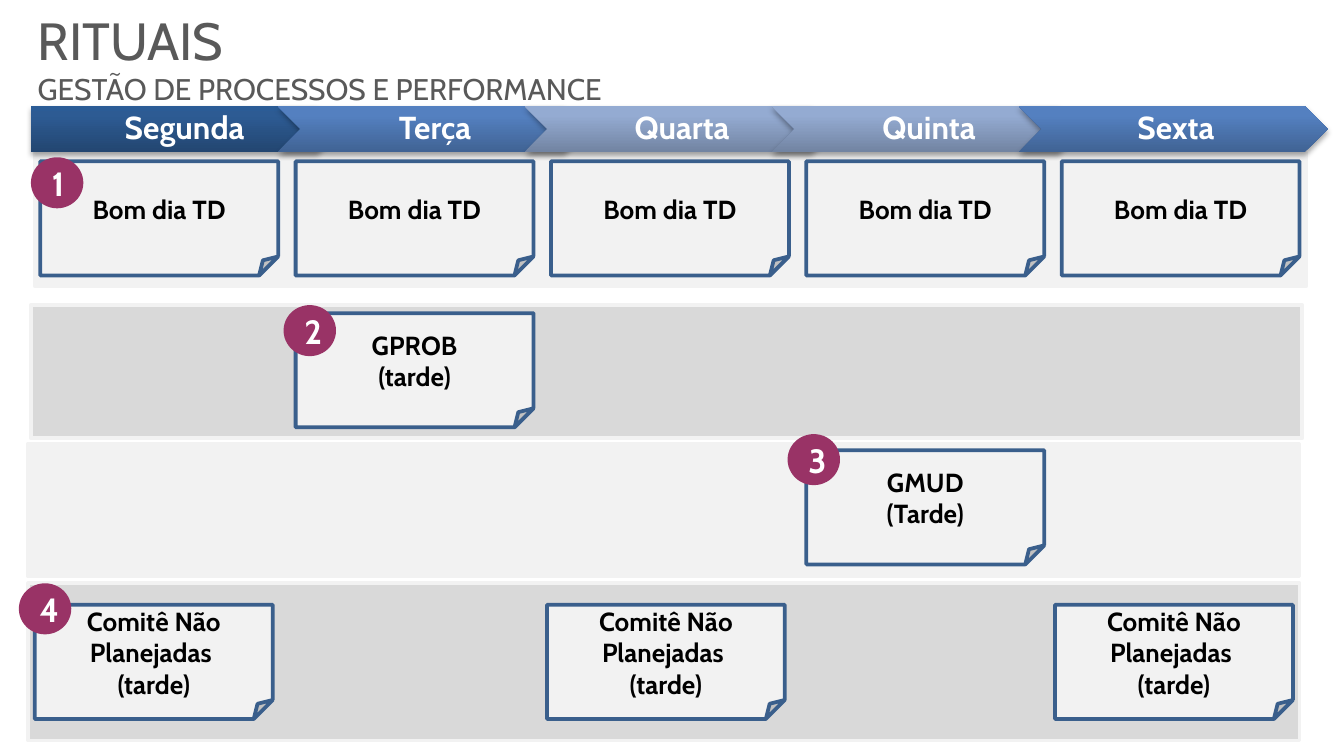
from copy import deepcopy
from dataclasses import dataclass

from lxml.etree import SubElement
from pptx import Presentation
from pptx.dml.color import RGBColor
from pptx.enum.shapes import MSO_SHAPE
from pptx.enum.text import MSO_ANCHOR, MSO_AUTO_SIZE, PP_ALIGN
from pptx.oxml.ns import qn
from pptx.util import Inches, Pt


@dataclass(frozen=True)
class Theme:
    font: str = "Cabin"
    heading: str = "595959"
    white: str = "FFFFFF"
    black: str = "000000"
    light: str = "F2F2F2"
    gray: str = "D9D9D9"
    border: str = "3A5F8C"
    badge: str = "993366"
    navy: tuple = ("234671", "2D5B93", "2B5C96")
    blue: tuple = ("406394", "5480C0", "5281C3")
    pale: tuple = ("7284A2", "94ABD2", "94ACD4")
    title_size: int = 28
    subtitle_size: int = 16
    day_size: int = 17
    card_size: int = 14
    badge_size: int = 18
    line_width: int = 2


THEME = Theme()
SLIDE_WIDTH = Inches(10)
SLIDE_HEIGHT = SLIDE_WIDTH * 9 // 16
CARD_LEFT, CARD_STEP = 0.3, 1.9
DAY_LEFT, LAST_DAY_LEFT = 0.23, 7.58
DAY_STEP = (LAST_DAY_LEFT - DAY_LEFT) / 4
DAY_TOP, DAY_WIDTH, DAY_HEIGHT = 0.79, 2.3, 0.34


def apply_format(target, values):
    for name, value in values.items():
        setattr(target, name, value)


def write_text(frame, lines, size, color, bold=True, align=PP_ALIGN.CENTER, **frame_format):
    apply_format(frame, {"word_wrap": True, "vertical_anchor": MSO_ANCHOR.MIDDLE, **frame_format})
    for index, line in enumerate(lines):
        paragraph = frame.add_paragraph() if index else frame.paragraphs[0]
        paragraph.alignment = align
        run = paragraph.add_run()
        run.text = line
        apply_format(run.font, {"name": THEME.font, "size": Pt(size), "bold": bold})
        run.font.color.rgb = RGBColor.from_string(color)


def add_box(slide, kind, left, top, width, height, fill=None, line=None):
    shape = slide.shapes.add_shape(kind, Inches(left), Inches(top), Inches(width), Inches(height))
    shape.shadow.inherit = False
    if fill:
        shape.fill.solid()
        shape.fill.fore_color.rgb = RGBColor.from_string(fill)
    if line:
        shape.line.color.rgb = RGBColor.from_string(line)
        shape.line.width = Pt(THEME.line_width)
    else:
        shape.line.fill.background()
    return shape


def add_gradient(shape, colors):
    shape.fill.gradient()
    shape.fill.gradient_angle = 90
    stop_list = shape._element.spPr.find(qn("a:gradFill")).find(qn("a:gsLst"))
    stop_list.append(deepcopy(stop_list[-1]))
    for stop, position, color in zip(shape.fill.gradient_stops, (0, 0.8, 1), colors):
        stop.position = position
        stop.color.rgb = RGBColor.from_string(color)


def add_shadow(shape):
    effects = shape._element.spPr.find(qn("a:effectLst"))
    shadow = SubElement(effects, qn("a:outerShdw"), blurRad=str(Pt(3.1)), dist=str(Pt(1.8)),
                        dir="5400000", rotWithShape="0")
    color = SubElement(shadow, qn("a:srgbClr"), val=THEME.black)
    SubElement(color, qn("a:alpha"), val="35000")


def add_day(slide, index, name, colors):
    left = DAY_LEFT + index * DAY_STEP
    kind = MSO_SHAPE.CHEVRON if index else MSO_SHAPE.PENTAGON
    arrow = add_box(slide, kind, left, DAY_TOP, DAY_WIDTH, DAY_HEIGHT)
    add_gradient(arrow, colors)
    add_shadow(arrow)
    offset, width, inset = (0.17, 1.95, 0.07) if index else (0, 2.21, 0.1)
    label = slide.shapes.add_textbox(Inches(left + offset), Inches(DAY_TOP), Inches(width),
                                     Inches(DAY_HEIGHT))
    write_text(label.text_frame, [name], THEME.day_size, THEME.white,
               margin_left=Inches(inset), margin_right=Inches(0.02))
    label.text_frame.paragraphs[0].line_spacing = 0.9


def add_card(slide, left, top, lines):
    card = add_box(slide, MSO_SHAPE.FOLDED_CORNER, left, top, 1.77, 0.85, THEME.light, THEME.border)
    write_text(card.text_frame, lines, THEME.card_size, THEME.black)


def add_badge(slide, number, left, top):
    badge = add_box(slide, MSO_SHAPE.OVAL, left, top, 0.39, 0.38, THEME.badge)
    write_text(badge.text_frame, [str(number)], THEME.badge_size, THEME.white)


def add_title(slide):
    title = slide.shapes.title
    apply_format(title, {"left": Inches(0.18), "top": Inches(0.01),
                         "width": Inches(9.25), "height": Inches(0.94)})
    write_text(title.text_frame, ["RITUAIS", "GESTÃO DE PROCESSOS E PERFORMANCE"],
               THEME.title_size, THEME.heading, bold=False, align=PP_ALIGN.LEFT,
               vertical_anchor=MSO_ANCHOR.TOP, auto_size=MSO_AUTO_SIZE.NONE)
    title.text_frame.paragraphs[1].runs[0].font.size = Pt(THEME.subtitle_size)


def main():
    presentation = Presentation()
    apply_format(presentation, {"slide_width": SLIDE_WIDTH, "slide_height": SLIDE_HEIGHT})
    slide = presentation.slides.add_slide(presentation.slide_layouts[5])
    add_title(slide)

    bands = [(0.21, 4.34, 1.17, THEME.gray), (0.21, 3.3, 0.99, THEME.light),
             (0.23, 2.27, 0.99, THEME.gray), (0.26, 1.14, 0.99, THEME.light)]
    for left, top, height, fill in bands:
        add_box(slide, MSO_SHAPE.RECTANGLE, left, top, 9.46, height, fill, THEME.light)

    days = [("Segunda", THEME.navy), ("Terça", THEME.blue), ("Quarta", THEME.pale),
            ("Quinta", THEME.pale), ("Sexta", THEME.blue)]
    for index, (name, colors) in enumerate(days):
        add_day(slide, index, name, colors)

    columns = [CARD_LEFT + index * CARD_STEP for index in range(len(days))]
    rituals = [(1.2, columns, ["Bom dia TD"]),
               (2.33, columns[1:2], ["GPROB", "(tarde)"]),
               (3.35, columns[3:4], ["GMUD", "(Tarde)"]),
               (4.5, (0.26, 4.07, 7.85), ["Comitê Não Planejadas ", "(tarde)"])]
    for top, lefts, lines in rituals:
        for left in lefts:
            add_card(slide, left, top, lines)

    badges = [(0.23, 1.17), (2.11, 2.27), (5.86, 3.23), (0.14, 4.34)]
    for number, (left, top) in enumerate(badges, start=1):
        add_badge(slide, number, left, top)

    presentation.save("out.pptx")


if __name__ == "__main__":
    main()
